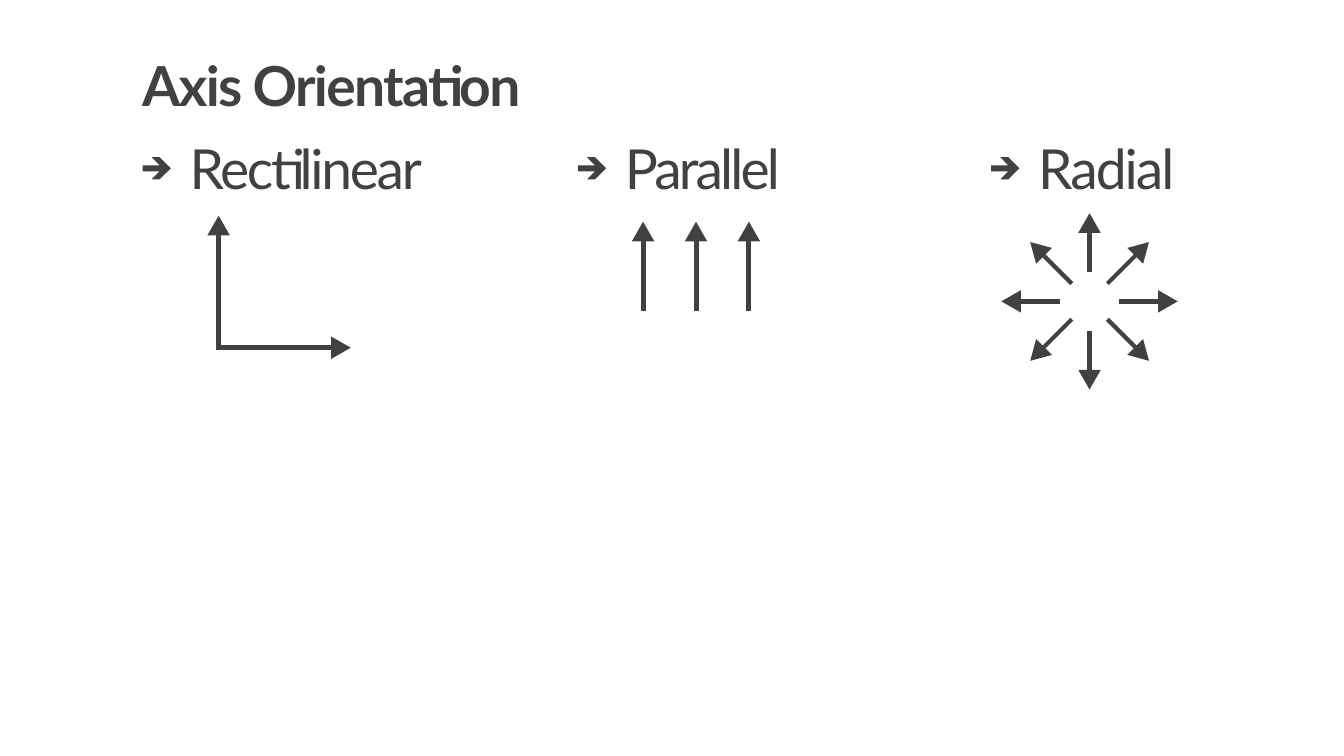
"""Builds a slide that compares rectilinear, parallel and radial axes."""
import math
from lxml import etree
from pptx import Presentation
from pptx.dml.color import RGBColor
from pptx.enum import shapes, text
from pptx.oxml import ns
from pptx.util import Pt

INK = RGBColor.from_string("414042")
SIZE = 39.4


def fill(pts):
    pts = [(Pt(x), Pt(y)) for x, y in pts]
    form = slide.shapes.build_freeform(*pts[0])
    form.add_line_segments(pts[1:], close=True)
    shape = form.convert_to_shape()
    shape.shadow.inherit = False
    shape.fill.solid()
    shape.fill.fore_color.rgb = INK
    shape.line.fill.background()


def arrow(x, y, turn, start, tip, width=3.58):
    c, s = math.cos(math.radians(turn)), math.sin(math.radians(turn))
    end = tip - 11
    line = slide.shapes.add_connector(
        shapes.MSO_CONNECTOR.STRAIGHT,
        Pt(x + start * c), Pt(y + start * s), Pt(x + end * c), Pt(y + end * s))
    line.line.color.rgb = INK
    line.line.width = Pt(width)
    etree.SubElement(line._element.spPr, ns.qn("a:effectLst"))
    head = [(tip, 0), (tip - 14, 8), (tip - 14, -8)]
    fill([(x + a * c - b * s, y + a * s + b * c) for a, b in head])


deck = Presentation()
deck.slide_width, deck.slide_height = Pt(960), Pt(540)
slide = deck.slides.add_slide(deck.slide_layouts[4])
title, *bodies = slide.placeholders
spare = bodies.pop()
spare._element.getparent().remove(spare._element)

words = [
    ("Axis Orientation", 101.5, 36.8, 320, -1.15),
    ("Rectilinear", 135.4, 96.3, 190, -1.6),
    ("Parallel", 446.4, 96.3, 130, -2),
    ("Radial", 741.6, 96.3, 120, -1.4),
]
mark = [(12.2, 0), (6.5, 0), (12.2, 5.8), (0, 5.8), (0, 10.1),
        (12.2, 10.1), (6.5, 15.8), (12.2, 15.8), (20.2, 7.9)]

for box, (label, left, top, width, gap) in zip([title, *bodies], words):
    box.left, box.top, box.width, box.height = Pt(left), Pt(top), Pt(width), Pt(48)
    frame = box.text_frame
    frame.text = label
    frame.word_wrap = True
    frame.auto_size = text.MSO_AUTO_SIZE.NONE
    frame.vertical_anchor = text.MSO_ANCHOR.TOP
    frame.margin_left = frame.margin_right = frame.margin_top = frame.margin_bottom = 0
    para = frame.paragraphs[0]
    para.alignment = text.PP_ALIGN.LEFT
    para.space_before = Pt(0)
    props = para._p.get_or_add_pPr()
    props.set("marL", "0")
    props.set("indent", "0")
    etree.SubElement(props, ns.qn("a:buNone"))
    run = para.runs[0]
    run.font.name, run.font.size = "Lato", Pt(SIZE)
    run.font.bold = box is title
    run.font.color.rgb = INK
    run._r.get_or_add_rPr().set("spc", str(round(gap * 100)))
    if box is not title:
        fill([(left - 33.6 + x, 112.3 + y) for x, y in mark])

arrow(156.2, 248.4, 0, -1.5, 94.4)
arrow(156.2, 248.4, -90, -1.5, 94.3)

for i in range(3):
    arrow(459.4 + 37.8 * i, 222.5, -90, 0, 64.1)

for i in range(8):
    if i % 2:
        arrow(778.3, 215.3, 45 * i, 18, 60, 3)
    else:
        arrow(778.3, 215.3, 45 * i, 20.8, 63)

deck.save("out.pptx")
